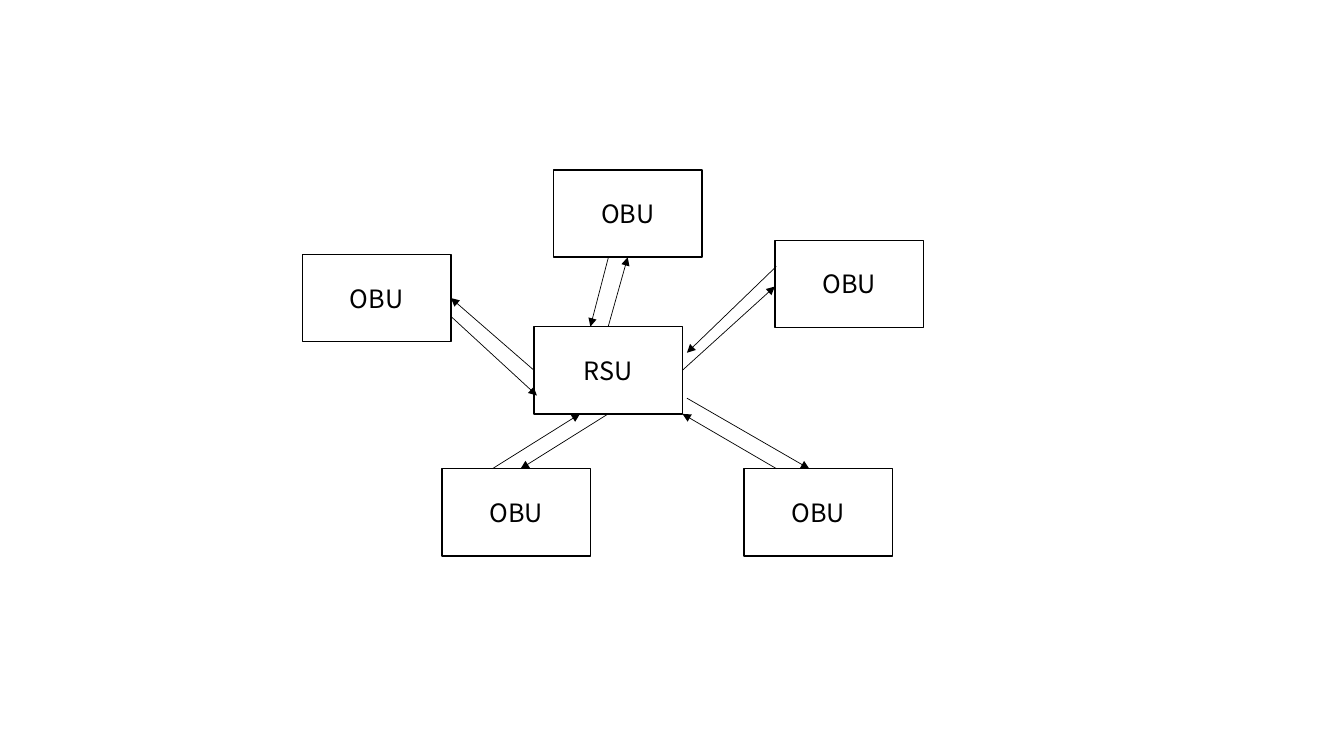
import pptx
import pptx.util
import pptx.dml.color
import pptx.enum.shapes
import pptx.enum.text
import pptx.oxml.ns
import lxml.etree

BLACK = pptx.dml.color.RGBColor(0x00, 0x00, 0x00)
WHITE = pptx.dml.color.RGBColor(0xFF, 0xFF, 0xFF)
FONT = "Noto Sans CJK SC"

prs = pptx.Presentation()
prs.slide_width = pptx.util.Inches(13.33)
prs.slide_height = pptx.util.Inches(7.5)
s = prs.slides.add_slide(prs.slide_layouts[6])

COL = prs.slide_width / 100
ROW = prs.slide_height / 100
BOX_W = 11.05 * COL
BOX_H = 11.55 * ROW

units = {
    "left": ("OBU", 22.5, 33.65),
    "center": ("RSU", 39.73, 43.2),
    "bottom left": ("OBU", 32.88, 62),
    "bottom right": ("OBU", 55.35, 62),
    "right": ("OBU", 57.65, 31.78),
    "top": ("OBU", 41.18, 22.48),
}

links = [
    ("center", 1, 0.5, "right", 0, 0.53),
    ("center", 0.5, 0, "top", 0.5, 1),
    ("center", 1.03, 0.82, "bottom right", 0.44, 0),
    ("center", 0.5, 1, "bottom left", 0.53, 0),
    ("center", 0, 0.5, "left", 1, 0.5),
    ("top", 0.37, 1, "center", 0.38, 0),
    ("right", 0.01, 0.3, "center", 1.03, 0.3),
    ("bottom right", 0.22, 0, "center", 1, 1),
    ("bottom left", 0.34, 0, "center", 0.31, 1),
    ("left", 1, 0.71, "center", 0.02, 0.79),
]


def box_point(unit, across, down):
    label, col, row = units[unit]
    return round(col * COL + across * BOX_W), round(row * ROW + down * BOX_H)


for unit, (label, col, row) in units.items():
    x, y = box_point(unit, 0, 0)
    sp = s.shapes.add_shape(
        pptx.enum.shapes.MSO_SHAPE.RECTANGLE, x, y, round(BOX_W), round(BOX_H))
    sp.shadow.inherit = False
    sp.fill.solid()
    sp.fill.fore_color.rgb = WHITE
    sp.line.color.rgb = BLACK
    sp.line.width = pptx.util.Pt(1)
    tf = sp.text_frame
    tf.vertical_anchor = pptx.enum.text.MSO_ANCHOR.MIDDLE
    p = tf.paragraphs[0]
    p.alignment = pptx.enum.text.PP_ALIGN.CENTER
    r = p.add_run()
    r.text = label
    r.font.name = FONT
    r.font.size = pptx.util.Pt(18)
    r.font.color.rgb = BLACK

for start, x1, y1, end, x2, y2 in links:
    link = s.shapes.add_connector(
        pptx.enum.shapes.MSO_CONNECTOR.STRAIGHT,
        *box_point(start, x1, y1), *box_point(end, x2, y2))
    link.line.color.rgb = BLACK
    link.line.width = pptx.util.Pt(0.5)
    props = link.element.spPr
    ln = props.find(pptx.oxml.ns.qn("a:ln"))
    lxml.etree.SubElement(ln, pptx.oxml.ns.qn("a:tailEnd"), type="triangle")
    lxml.etree.SubElement(props, pptx.oxml.ns.qn("a:effectLst"))

prs.save("out.pptx")
